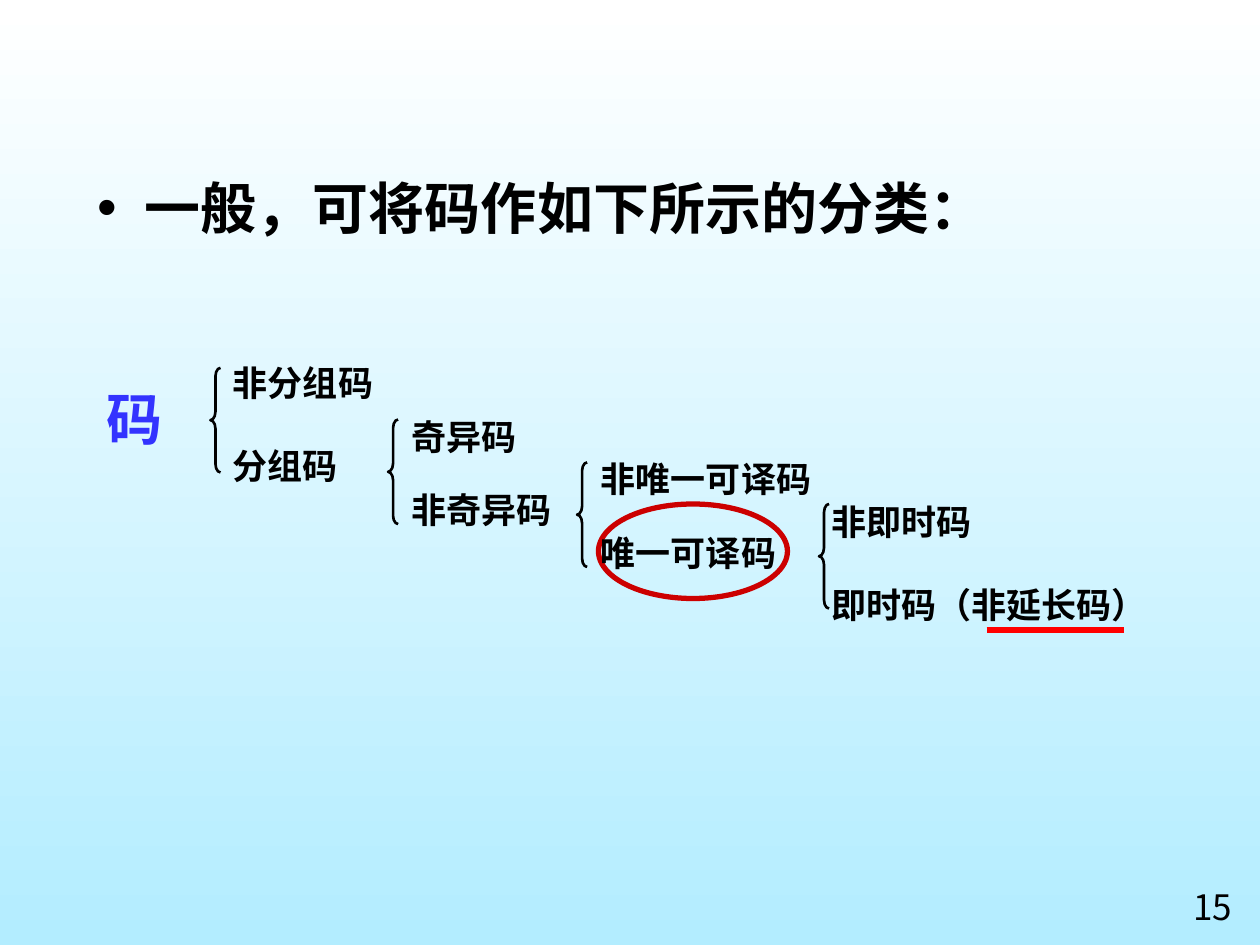
import pptx
import pptx.util
import pptx.dml.color
import pptx.enum.shapes
import pptx.enum.text
import pptx.oxml.ns
from lxml import etree
from pptx.util import Inches

COLORS = {
    "text": "000000",
    "root": "3333FF",
    "ring": "CC0000",
    "underline": "FF0000",
    "sky_top": "FFFFFF",
    "sky_bottom": "B3EDFF",
}
EAST_ASIAN_FONT = "Noto Sans CJK SC"
BRACE_SIZE = (0.08, 0.83)
BRANCHES = [
    ((1.67, 2.92), 1.75, [("非分组码", 2.82, 1.92), ("分组码", 3.48, 1.92)]),
    ((3.08, 3.33), 3.17, [("奇异码", 3.25, 1.92), ("非奇异码", 3.83, 1.92)]),
    ((4.58, 3.67), 4.67, [("非唯一可译码", 3.58, 1.92), ("唯一可译码", 4.17, 1.92)]),
    ((6.5, 4), 6.5, [("非即时码", 3.92, 1.92), ("即时码（非延长码）", 4.58, 2.92)]),
]


def rgb(name):
    return pptx.dml.color.RGBColor.from_string(COLORS[name])


def add_child(parent, tag, **attributes):
    return etree.SubElement(parent, pptx.oxml.ns.qn(tag), **attributes)


def add_run(paragraph, text, size, color="text", font="Arial", bold=True):
    run = paragraph.add_run()
    run.text = text
    run.font.size = pptx.util.Pt(size)
    run.font.bold = bold
    run.font.name = font
    run.font.color.rgb = rgb(color)
    add_child(run.font._element, "a:ea", typeface=EAST_ASIAN_FONT)


def add_label(slide, text, left, top, width, height=0.44, size=20, **style):
    box = slide.shapes.add_textbox(Inches(left), Inches(top), Inches(width), Inches(height))
    box.text_frame.word_wrap = True
    paragraph = box.text_frame.paragraphs[0]
    add_run(paragraph, text, size, **style)
    return paragraph


def set_line(shape, color, width):
    shape.line.color.rgb = rgb(color)
    shape.line.width = pptx.util.Pt(width)


def add_outline(slide, kind, left, top, width, height, color, line_width):
    shape = slide.shapes.add_shape(
        kind, Inches(left), Inches(top), Inches(width), Inches(height))
    shape.shadow.inherit = False
    shape.fill.background()
    set_line(shape, color, line_width)
    return shape


def add_brace(slide, left, top):
    brace = add_outline(slide, pptx.enum.shapes.MSO_SHAPE.LEFT_BRACE,
                        left, top, *BRACE_SIZE, "text", 1.5)
    brace.adjustments[0] = 0.83


def add_underline(slide, left, right, top):
    line = slide.shapes.add_connector(
        pptx.enum.shapes.MSO_CONNECTOR.STRAIGHT,
        Inches(left), Inches(top), Inches(right), Inches(top))
    set_line(line, "underline", 3)
    add_child(line._element.spPr, "a:effectLst")


def set_background(slide):
    fill = slide.background.fill
    fill.gradient()
    fill.gradient_angle = 270
    for stop, name, position in zip(fill.gradient_stops, ("sky_top", "sky_bottom"), (0, 1)):
        stop.color.rgb = rgb(name)
        stop.position = position


def fill_body(body, text):
    body.left, body.top = Inches(0.67), Inches(1.33)
    body.width, body.height = Inches(8.5), Inches(0.88)
    body.text_frame.auto_size = pptx.enum.text.MSO_AUTO_SIZE.NONE
    paragraph = body.text_frame.paragraphs[0]
    properties = paragraph._p.get_or_add_pPr()
    properties.set("marL", str(Inches(0.38)))
    properties.set("indent", str(Inches(-0.38)))
    bullet_color = add_child(properties, "a:buClr")
    add_child(bullet_color, "a:srgbClr", val=COLORS["text"])
    add_child(properties, "a:buChar", char="•")
    paragraph.space_before = pptx.util.Pt(0)
    add_run(paragraph, text, 32)


def main():
    presentation = pptx.Presentation()
    presentation.slide_width = Inches(10)
    presentation.slide_height = Inches(7.5)
    slide = presentation.slides.add_slide(presentation.slide_layouts[1])
    set_background(slide)
    title = slide.shapes.title._element
    title.getparent().remove(title)

    page_number = add_label(slide, "15", 9.25, 6.98, 0.75, 0.48,
                            font=EAST_ASIAN_FONT, bold=False)
    page_number.alignment = pptx.enum.text.PP_ALIGN.CENTER
    fill_body(slide.placeholders[1], "一般，可将码作如下所示的分类：")

    add_outline(slide, pptx.enum.shapes.MSO_SHAPE.OVAL, 4.75, 4, 1.5, 0.75, "ring", 3)
    add_underline(slide, 7.83, 8.92, 5)
    add_label(slide, "码", 0.75, 3, 0.5, 0.64, size=32, color="root").line_spacing = 1
    for brace_position, label_left, labels in BRANCHES:
        for text, top, width in labels:
            add_label(slide, text, label_left, top, width)
        add_brace(slide, *brace_position)

    presentation.save("out.pptx")


if __name__ == "__main__":
    main()
